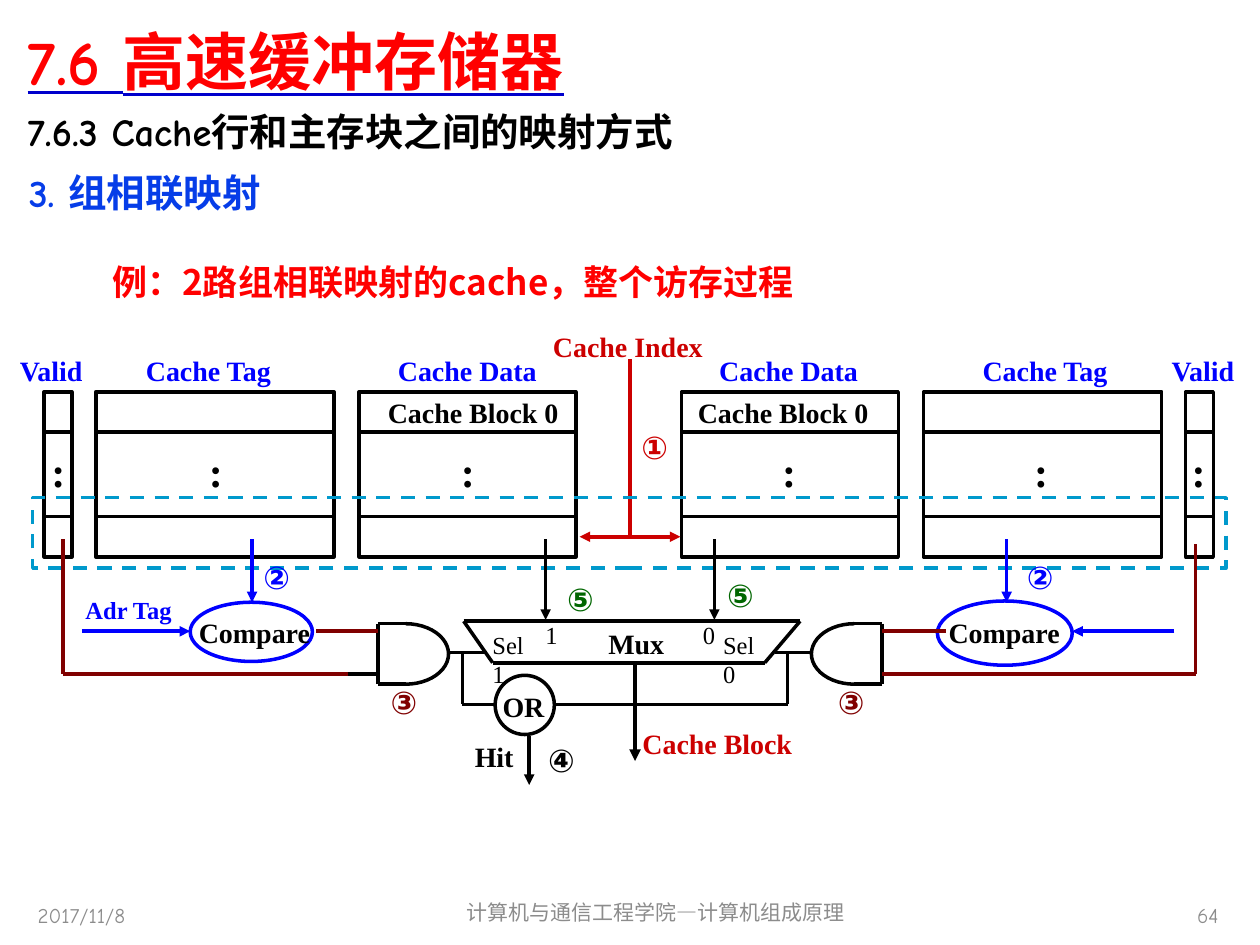
from lxml import etree
from pptx import Presentation
from pptx.dml.color import RGBColor
from pptx.enum.dml import MSO_LINE
from pptx.enum.shapes import MSO_CONNECTOR, MSO_SHAPE
from pptx.enum.text import MSO_ANCHOR, MSO_AUTO_SIZE, PP_ALIGN
from pptx.oxml.ns import qn
from pptx.util import Inches, Pt

LEFT, CENTER, RIGHT = PP_ALIGN.LEFT, PP_ALIGN.CENTER, PP_ALIGN.RIGHT
TOP, MIDDLE = MSO_ANCHOR.TOP, MSO_ANCHOR.MIDDLE
FIT = MSO_AUTO_SIZE.SHAPE_TO_FIT_TEXT
RECT, OVAL, ARC = MSO_SHAPE.RECTANGLE, MSO_SHAPE.OVAL, MSO_SHAPE.ARC
STRAIGHT = MSO_CONNECTOR.STRAIGHT
COMIC, TIMES, ARIAL, CJK = "Comic Neue", "Times New Roman", "Arial", "Noto Sans CJK SC"
BLACK, BLUE, RED, MAROON = "000000", "0000FF", "CC0000", "800000"
GREEN, CYAN, GRAY = "006600", "0099CC", "8C8C8C"

ROW_TOP, ROW_HEIGHT = 3.11, 1.31
ROW_LINES = (3.43, 4.1)
# label, label left, box left, box width, left of the colon
COLUMNS = [
    ("Valid", 0.06, 0.35, 0.22, 0.31),
    ("Cache Tag", 1.06, 0.76, 1.89, 1.56),
    ("Cache Data", 3.06, 2.85, 1.72, 3.56),
    ("Cache Data", 5.61, 5.41, 1.72, 6.11),
    ("Cache Tag", 7.7, 7.33, 1.89, 8.11),
    ("Valid", 9.2, 9.41, 0.22, 9.36),
]


def rgb(value):
    return RGBColor.from_string(value)


def add_run(p, text, size, font, color, bold):
    r = p.add_run()
    r.text = text
    r.font.size, r.font.name, r.font.bold = Pt(size), font, bold
    r.font.color.rgb = rgb(color)
    etree.SubElement(r._r.get_or_add_rPr(), qn("a:ea"), typeface=CJK)
    return r


def fill_placeholder(sp, box, text, size, color):
    sp.left, sp.top, sp.width, sp.height = map(Inches, box)
    p = sp.text_frame.paragraphs[0]
    p.alignment = LEFT
    return p, add_run(p, text, size, COMIC, color, True)


def underline(r, color):
    r.font.underline = True
    u_fill = etree.Element(qn("a:uFill"))
    solid = etree.SubElement(u_fill, qn("a:solidFill"))
    etree.SubElement(solid, qn("a:srgbClr"), val=color)
    r._r.rPr.find(qn("a:latin")).addprevious(u_fill)


def add_text(s, box, text, size=16, font=TIMES, color=BLACK, bold=True, wrap=False,
             inset=(0.1, 0.05), anchor=TOP, align=LEFT, auto_size=FIT):
    tf = s.shapes.add_textbox(*map(Inches, box)).text_frame
    tf.word_wrap, tf.auto_size, tf.vertical_anchor = wrap, auto_size, anchor
    tf.margin_left = tf.margin_right = Inches(inset[0])
    tf.margin_top = tf.margin_bottom = Inches(inset[1])
    p = tf.paragraphs[0]
    p.alignment = align
    add_run(p, text, size, font, color, bold)


def add_footer(s, box, text, align):
    add_text(s, box, text, 12, COMIC, GRAY, False, True,
             anchor=MIDDLE, align=align, auto_size=MSO_AUTO_SIZE.NONE)


def add_step(s, x, y, number, color):
    add_text(s, (x, y, 0.25, 0.3), number, 18, ARIAL, color, inset=(0, 0))


def add_outline(s, kind, box, color=BLACK):
    sp = s.shapes.add_shape(kind, *map(Inches, box))
    sp.shadow.inherit = False
    sp.fill.background()
    sp.line.color.rgb, sp.line.width = rgb(color), Pt(2)
    return sp


def add_line(s, x1, y1, x2, y2, color=BLACK, ends="", width=2):
    """Draw a line; ends names its arrowheads: "tail", "head tail" or nothing."""
    c = s.shapes.add_connector(STRAIGHT, *map(Inches, (x1, y1, x2, y2)))
    c.line.color.rgb, c.line.width = rgb(color), Pt(width)
    for end in ends.split():
        etree.SubElement(c.line._get_or_add_ln(), qn(f"a:{end}End"), type="triangle")
    etree.SubElement(c._element.spPr, qn("a:effectLst"))


def add_route(s, points, color=BLACK):
    for start, end in zip(points, points[1:]):
        add_line(s, *start, *end, color)


def add_cache(s):
    for label, label_x, x, width, colon_x in COLUMNS:
        add_outline(s, RECT, (x, ROW_TOP, width, ROW_HEIGHT))
        for y in ROW_LINES:
            add_line(s, x, y, x + width, y)
        add_text(s, (label_x, 2.76, 1.3, 0.36), label, color=BLUE)
        add_text(s, (colon_x, 3.49, 0.31, 0.5), ":", 24)
    for x in (2.98, 5.44):
        add_text(s, (x, 3.09, 1.56, 0.36), "Cache Block 0")


def add_and_gate(s, back, joint, start, end):
    """Draw an AND gate: flat back, round front from angle start to end."""
    arc = add_outline(s, ARC, (joint - 0.34, 4.95, 0.68, 0.48))
    arc.adjustments[0], arc.adjustments[1] = start * 0.6, end * 0.6
    add_route(s, [(joint, 4.95), (back, 4.95), (back, 5.43), (joint, 5.43)])


def add_mux(s):
    add_route(s, [(3.68, 4.93), (6.35, 4.93), (6.07, 5.26), (3.91, 5.26), (3.68, 4.93)])
    add_text(s, (4.73, 4.92, 0.64, 0.36), "Mux")
    for x, digit, sel_x in ((4.23, "1", 3.81), (5.48, "0", 5.64)):
        add_text(s, (x, 4.87, 0.3, 0.33), digit, 14, bold=False)
        add_text(s, (sel_x, 4.95, 0.55, 0.33), f"Sel {digit}", 14, bold=False, wrap=True)


def add_hit_logic(s):
    add_and_gate(s, 3, 3.22, 270, 90)
    add_and_gate(s, 7, 6.78, 90, 270)
    add_line(s, 3.56, 5.18, 3.84, 5.18)
    add_line(s, 6.44, 5.18, 6.15, 5.18)
    add_line(s, 3, 5.35, 2.74, 5.35)
    add_outline(s, OVAL, (3.93, 5.36, 0.47, 0.47))
    add_text(s, (3.89, 5.42, 0.53, 0.36), "OR")
    add_route(s, [(3.67, 5.18), (3.67, 5.59), (3.93, 5.59)])
    add_route(s, [(6.25, 5.18), (6.25, 5.59), (4.4, 5.59)])
    add_line(s, 4.2, 5.84, 4.2, 6.23, ends="tail")
    add_text(s, (3.67, 5.82, 0.51, 0.36), "Hit")
    add_step(s, 4.35, 5.88, "④", BLACK)


def add_index(s):
    add_text(s, (4.29, 2.57, 1.39, 0.36), "Cache Index", color=RED)
    add_line(s, 5, 2.85, 5, 4.25, RED)
    add_line(s, 4.6, 4.26, 5.4, 4.26, RED, "head tail")
    chosen_set = add_outline(s, RECT, (0.26, 3.95, 9.47, 0.56), CYAN)
    chosen_set.line.dash_style = MSO_LINE.DASH
    add_step(s, 5.09, 3.4, "①", RED)


def add_tag_compare(s):
    for box, text_x, arrow_x, step_x in (((1.51, 4.78, 0.97, 0.47), 1.48, 2, 2.09),
                                         ((7.44, 4.77, 1.07, 0.51), 7.43, 7.99, 8.15)):
        add_outline(s, OVAL, box, BLUE)
        add_text(s, (text_x, 4.84, 1.09, 0.36), "Compare")
        add_line(s, arrow_x, 4.28, arrow_x, 4.78, BLUE, "tail")
        add_step(s, step_x, 4.43, "②", BLUE)
    add_line(s, 0.65, 5.01, 1.51, 5.01, BLUE, "tail")
    add_line(s, 9.32, 5.01, 8.51, 5.01, BLUE, "tail")
    add_text(s, (0.58, 4.67, 0.91, 0.33), "Adr Tag", 14, color=BLUE)


def add_valid_check(s):
    add_line(s, 2.51, 5.01, 3, 5.01, MAROON)
    add_line(s, 7, 5.01, 7.51, 5.01, MAROON)
    add_route(s, [(0.5, 4.28), (0.5, 5.35), (2.76, 5.35)], MAROON)
    add_route(s, [(9.49, 4.32), (9.49, 5.35), (7, 5.35)], MAROON)
    for x in (3.1, 6.65):
        add_step(s, x, 5.42, "③", MAROON)


def add_block_output(s):
    for x in (4.33, 5.67):
        add_line(s, x, 4.28, x, 4.92, ends="tail")
    add_step(s, 4.5, 4.6, "⑤", GREEN)
    add_step(s, 5.77, 4.57, "⑤", GREEN)
    add_line(s, 5.04, 5.27, 5.04, 6.04, ends="tail", width=2.25)
    add_text(s, (5, 5.72, 1.39, 0.36), "Cache Block", color=RED)


def add_headings(s):
    title, body = s.placeholders
    _, r = fill_placeholder(title, (0.12, 0.05, 9.69, 0.85), "7.6 高速缓冲存储器", 36, "FF0000")
    underline(r, "0000CC")
    p, _ = fill_placeholder(body, (0.12, 0.81, 9.69, 6.23),
                            "7.6.3 Cache行和主存块之间的映射方式", 22, BLACK)
    pPr = p._p.get_or_add_pPr()
    pPr.set("marL", "0")
    pPr.set("indent", "0")
    etree.SubElement(pPr, qn("a:buNone"))
    add_text(s, (0.13, 1.29, 5.42, 0.47), "3. 组相联映射", 22, COMIC, "063DE8", wrap=True)
    add_text(s, (0.89, 2.07, 7.72, 0.34), "例：2路组相联映射的cache，整个访存过程",
             20, CJK, "FF0000", wrap=True, inset=(0, 0))


def main():
    prs = Presentation()
    prs.slide_width, prs.slide_height = Inches(10), Inches(7.5)
    s = prs.slides.add_slide(prs.slide_layouts[1])
    add_headings(s)
    add_footer(s, (3.35, 7.04, 3.71, 0.4), "计算机与通信工程学院—计算机组成原理", CENTER)
    add_footer(s, (7.44, 7.06, 2.33, 0.4), "64", RIGHT)
    add_footer(s, (0.2, 7.06, 2.33, 0.4), "2017/11/8", LEFT)
    for add_part in (add_cache, add_mux, add_hit_logic, add_index,
                     add_tag_compare, add_valid_check, add_block_output):
        add_part(s)
    prs.save("out.pptx")


if __name__ == "__main__":
    main()
